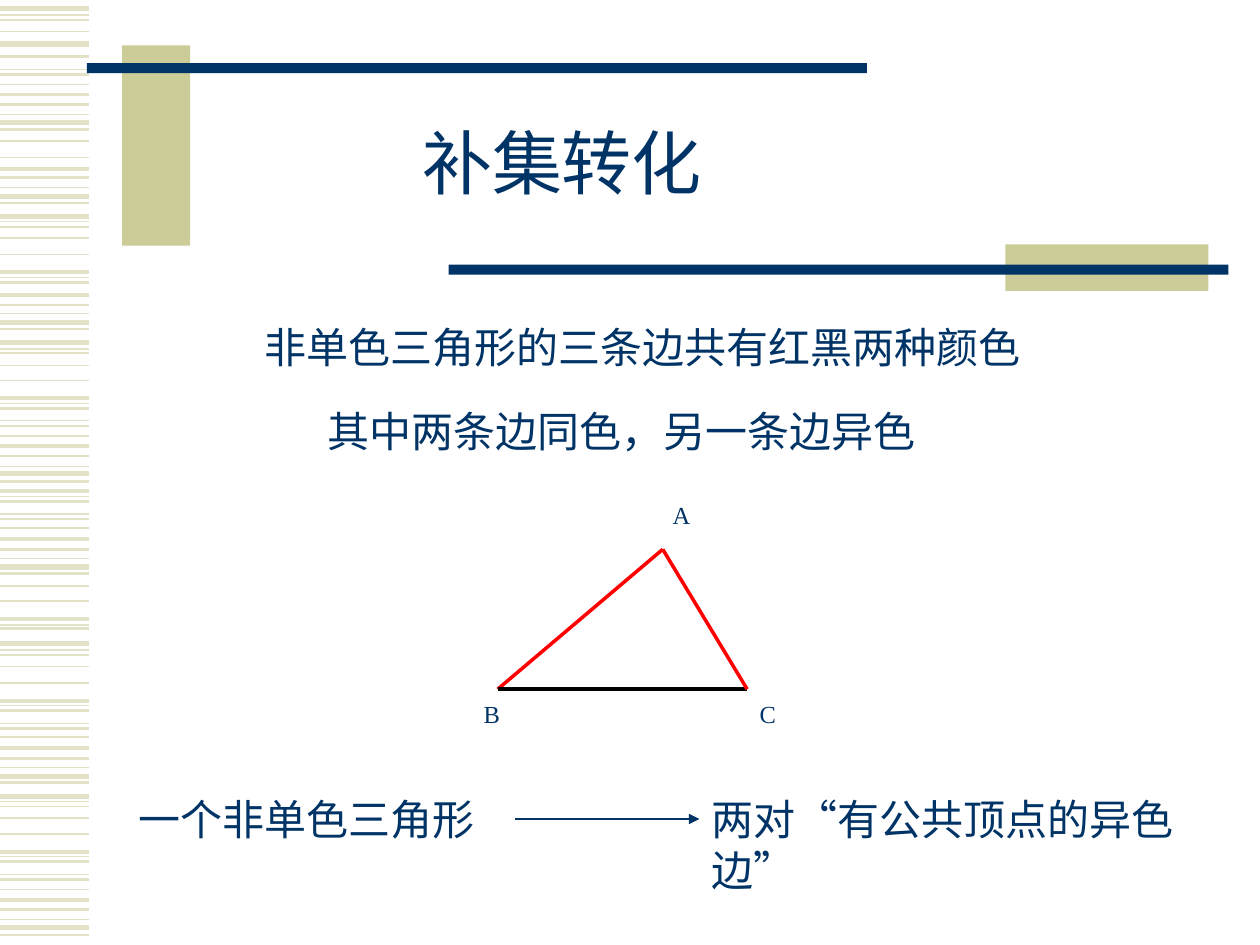
import pptx
import pptx.util
import pptx.dml.color
import pptx.enum.shapes
import pptx.enum.text
import pptx.oxml
import pptx.oxml.ns

WIDTH, HEIGHT = 10, 7.5
FONT = "Times New Roman"
COLORS = {"navy": "003366", "khaki": "CCCC99", "stripe": "E3E2C7",
          "red": "FF0000", "black": "000000", "white": "FFFFFF"}
ALIGN = pptx.enum.text.PP_ALIGN
ANCHOR = pptx.enum.text.MSO_ANCHOR

# Heights of the margin stripes, grouped by line width in points
STRIPE_LENGTH = 0.71
STRIPES = {
    0.75: [0.12, 0.55, 0.91, 1.49, 1.76, 2.2, 2.49, 2.77, 3.2, 3.34, 3.7, 3.94, 4.08,
           4.43, 4.96, 5.16, 5.6, 5.74, 6.09, 6.36, 6.8, 6.94, 7.3],
    1: [0.16, 0.25, 0.67, 1.12, 1.25, 1.8, 1.89, 2.02, 2.8, 2.9, 3.02, 3.46, 4.19,
        4.65, 4.77, 5.2, 5.29, 5.42, 5.85, 6.4, 6.49, 6.62, 7.06],
    1.5: [0.45, 0.59, 0.83, 1.03, 1.41, 1.61, 2.24, 2.42, 2.61, 3.24, 3.38, 3.62, 3.82,
          3.98, 4.12, 4.36, 4.55, 4.99, 5.64, 5.78, 6.02, 6.21, 6.84, 6.98, 7.22, 7.42],
    2.25: [0.75, 1.34, 2.16, 2.34, 3.16, 3.54, 3.9, 4.28, 4.91, 5.56, 5.94, 6.76, 7.14],
    3: [0.07, 0.35, 0.97, 1.56, 1.72, 2.56, 2.72, 3.76, 4.5, 5.11, 6.16, 6.32, 7.36],
}
# Left, top, width, height in inches
BARS = [("khaki", (0.97, 0.36, 0.54, 1.59)), ("navy", (0.69, 0.5, 6.19, 0.08)),
        ("khaki", (7.98, 1.94, 1.61, 0.37)), ("navy", (3.56, 2.1, 6.19, 0.08))]

TITLE = ("补集转化", (3.17, 1, 2.58, 0.67))
STATEMENTS = [
    ("非单色三角形的三条边共有红黑两种颜色", (2, 2.5, 6.25, 0.5), ALIGN.JUSTIFY),
    ("其中两条边同色，另一条边异色", (2.5, 3.17, 5.25, 0.5), ALIGN.JUSTIFY),
    ("一个非单色三角形", (1, 6.25, 3.09, 0.5), ALIGN.LEFT),
    ("两对“有公共顶点的异色边”", (5.55, 6.25, 4.2, 0.9), ALIGN.LEFT),
]
VERTICES = {"A": (5.26, 4.36), "B": (3.95, 5.47), "C": (5.93, 5.47)}
EDGES = [("A", "B", "red"), ("B", "C", "black"), ("A", "C", "red")]
LABEL_SIZE = (0.66, 0.42)
LABELS = {"A": (5.24, 3.92), "B": (3.74, 5.5), "C": (5.93, 5.5)}
ARROW = ((4.09, 6.5), (5.55, 6.5))


def rgb(name):
    return pptx.dml.color.RGBColor.from_string(COLORS[name])


def inches(values):
    return [pptx.util.Inches(value) for value in values]


def add_line(page, start, end, color, width):
    line = page.shapes.add_connector(
        pptx.enum.shapes.MSO_CONNECTOR.STRAIGHT, *inches((*start, *end)))
    line.line.color.rgb = rgb(color)
    line.line.width = pptx.util.Pt(width)
    line._element.spPr.append(pptx.oxml.parse_xml(
        f'<a:effectLst {pptx.oxml.ns.nsdecls("a")}/>'))
    return line


def add_rectangle(page, area, color):
    box = page.shapes.add_shape(
        pptx.enum.shapes.MSO_SHAPE.RECTANGLE, *inches(area))
    box.shadow.inherit = False
    box.fill.solid()
    box.fill.fore_color.rgb = rgb(color)
    box.line.fill.background()
    return box


def write(box, text, size, align, anchor=ANCHOR.TOP, spacing=None):
    frame = box.text_frame
    margins = {"margin_left": 0.1, "margin_right": 0.1,
               "margin_top": 0.05, "margin_bottom": 0.05}
    for name, value in margins.items():
        setattr(frame, name, pptx.util.Inches(value))
    frame.word_wrap = True
    frame.vertical_anchor = anchor
    para = frame.paragraphs[0]
    para.alignment = align
    para.line_spacing = spacing
    span = para.add_run()
    span.text = text
    for name, value in {"name": FONT, "size": pptx.util.Pt(size)}.items():
        setattr(span.font, name, value)
    span.font.color.rgb = rgb("navy")


def add_background(page):
    for width, heights in STRIPES.items():
        for y in heights:
            add_line(page, (0, y), (STRIPE_LENGTH, y), "stripe", width)
    for color, area in BARS:
        add_rectangle(page, area, color)


def add_title(page):
    text, area = TITLE
    title = page.shapes.title
    for name, value in zip(("left", "top", "width", "height"), inches(area)):
        setattr(title, name, value)
    write(title, text, 40, ALIGN.CENTER, ANCHOR.MIDDLE, 0.85)


def add_triangle(page):
    for start, end, color in EDGES:
        add_line(page, VERTICES[start], VERTICES[end], color, 2)
    for letter, corner in LABELS.items():
        label = add_rectangle(page, (*corner, *LABEL_SIZE), "white")
        write(label, letter, 14, ALIGN.JUSTIFY)


def add_statements(page):
    for text, area, align in STATEMENTS:
        box = page.shapes.add_textbox(*inches(area))
        write(box, text, 24, align)
        box.text_frame.auto_size = pptx.enum.text.MSO_AUTO_SIZE.SHAPE_TO_FIT_TEXT
    arrow = add_line(page, *ARROW, "navy", 1.25)
    arrow.line._get_or_add_ln().append(pptx.oxml.parse_xml(
        f'<a:tailEnd {pptx.oxml.ns.nsdecls("a")} type="triangle"/>'))


def main():
    deck = pptx.Presentation()
    deck.slide_width, deck.slide_height = inches((WIDTH, HEIGHT))
    page = deck.slides.add_slide(deck.slide_layouts[5])
    add_background(page)
    add_title(page)
    add_triangle(page)
    add_statements(page)
    deck.save("out.pptx")


if __name__ == "__main__":
    main()
